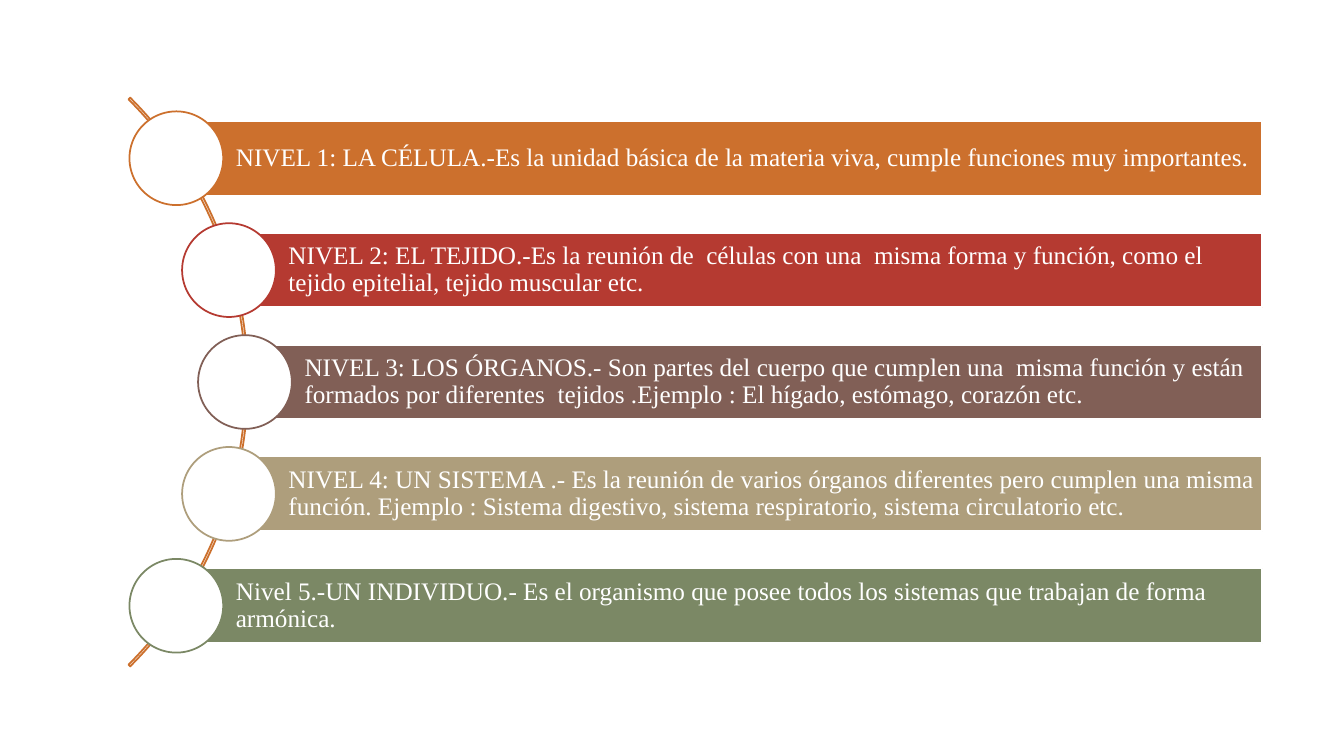
from math import sqrt
from pptx import Presentation
from pptx.dml.color import RGBColor
from pptx.enum.shapes import MSO_SHAPE as Preset
from pptx.enum.text import MSO_ANCHOR as Anchor, PP_ALIGN as Align
from pptx.util import Inches, Pt

COLORS = {
    "white": "FFFFFF",
    "orange": "CC702D",
    "red": "B53A31",
    "brown": "815F56",
    "sand": "AE9E7C",
    "green": "7B8865",
}
LEVELS = [
    ("orange", "NIVEL 1: LA CÉLULA.-Es la unidad básica de la materia viva, "
               "cumple funciones muy importantes."),
    ("red", "NIVEL 2: EL TEJIDO.-Es la reunión de  células con una  misma forma y "
            "función, como el tejido epitelial, tejido muscular etc."),
    ("brown", "NIVEL 3: LOS ÓRGANOS.- Son partes del cuerpo que cumplen una  misma "
              "función y están formados por diferentes  tejidos .Ejemplo : El hígado, "
              "estómago, corazón etc."),
    ("sand", "NIVEL 4: UN SISTEMA .- Es la reunión de varios órganos diferentes pero "
             "cumplen una misma función. Ejemplo : Sistema digestivo, sistema "
             "respiratorio, sistema circulatorio etc."),
    ("green", "Nivel 5.-UN INDIVIDUO.- Es el organismo que posee todos los sistemas "
              "que trabajan de forma armónica."),
]

# Inches: five rows centred on the middle of a large arc
ARC_X, ARC_Y, ARC_SIZE = -1.53, 3.79, 7.98
ROW_PITCH, BAR_HEIGHT, BAR_RIGHT = 1.11, 0.74, 12.52
CIRCLE_SIZE, CENTRE_RADIUS = 0.93, 3.96

TEXT_FRAME = {
    "word_wrap": True,
    "vertical_anchor": Anchor.MIDDLE,
    "margin_left": Inches(0.59),
    "margin_top": Inches(0.05),
    "margin_right": Inches(0.05),
    "margin_bottom": Inches(0.05),
}
PARAGRAPH = {"alignment": Align.LEFT, "line_spacing": 0.9}
FONT = {"name": "Times New Roman", "size": Pt(18)}

presentation = Presentation()
presentation.slide_width, presentation.slide_height = Inches(13.33), Inches(7.5)
slide = presentation.slides.add_slide(presentation.slide_layouts[6])


def add_outlined(preset, left, middle, width, height, fill, line):
    """Add a shape placed by its left edge and vertical middle."""
    shape = slide.shapes.add_shape(
        preset, Inches(left), Inches(middle - height / 2), Inches(width), Inches(height))
    shape.shadow.inherit = False
    if fill:
        shape.fill.solid()
        shape.fill.fore_color.rgb = RGBColor.from_string(COLORS[fill])
    else:
        shape.fill.background()
    shape.line.color.rgb = RGBColor.from_string(COLORS[line])
    shape.line.width = Pt(1.25)
    return shape


arc = add_outlined(Preset.BLOCK_ARC, ARC_X - ARC_SIZE / 2, ARC_Y,
                   ARC_SIZE, ARC_SIZE, None, "orange")
for index, value in enumerate((189, 27, 0.003)):
    arc.adjustments[index] = value

for row, (color, text) in enumerate(LEVELS):
    offset = (row - len(LEVELS) // 2) * ROW_PITCH
    middle = ARC_Y + offset
    bar_left = ARC_X + sqrt(CENTRE_RADIUS ** 2 - offset ** 2)

    bar = add_outlined(Preset.RECTANGLE, bar_left, middle,
                       BAR_RIGHT - bar_left, BAR_HEIGHT, color, "white")
    frame = bar.text_frame
    frame.text = text
    paragraph = frame.paragraphs[0]
    font = paragraph.runs[0].font
    for target, values in ((frame, TEXT_FRAME), (paragraph, PARAGRAPH), (font, FONT)):
        for name, value in values.items():
            setattr(target, name, value)
    font.color.rgb = RGBColor.from_string(COLORS["white"])

    add_outlined(Preset.OVAL, bar_left - CIRCLE_SIZE / 2, middle,
                 CIRCLE_SIZE, CIRCLE_SIZE, "white", color)

presentation.save("out.pptx")
